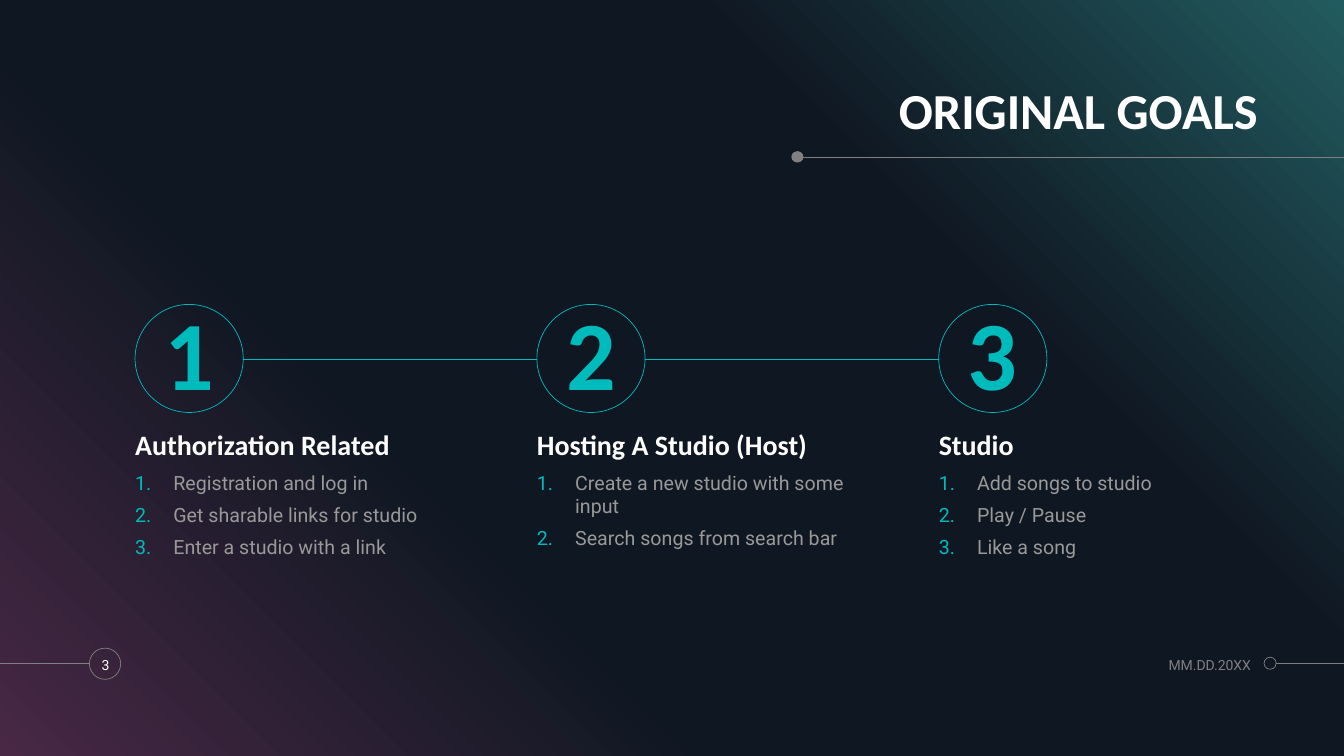
"""Build the goals slide: three numbered steps on a diagonal gradient."""
from dataclasses import dataclass

from lxml.etree import SubElement
from pptx import Presentation
from pptx.dml.color import RGBColor
from pptx.enum.shapes import MSO_CONNECTOR, MSO_SHAPE
from pptx.enum.text import MSO_ANCHOR, PP_ALIGN
from pptx.oxml import parse_xml
from pptx.oxml.ns import nsdecls, qn
from pptx.util import Inches, Pt


@dataclass(frozen=True)
class Theme:
    teal: str = "00BBBB"
    white: str = "FFFFFF"
    gray: str = "808080"
    soft: str = "999999"
    blend: tuple = ((0, "482845"), (34, "0F1722"), (69, "0F1722"), (100, "225B5F"))
    angle: int = 315
    head: str = "Calibri"
    body: str = "Roboto"
    title: int = 36
    digit: int = 70
    topic: int = 20
    item: int = 14
    small: int = 10
    line: float = 0.5


@dataclass(frozen=True)
class Box:
    """A place given in percent of the slide's width and height."""
    left: float
    top: float
    width: float
    height: float


@dataclass(frozen=True)
class Style:
    size: int
    color: str
    face: str
    bold: bool = False
    align: PP_ALIGN = PP_ALIGN.LEFT
    anchor: MSO_ANCHOR = MSO_ANCHOR.MIDDLE
    pitch: float = 1.0
    before: int = 0


@dataclass(frozen=True)
class Step:
    topic: str
    items: tuple


@dataclass(frozen=True)
class Rule:
    start: float
    end: float
    top: float
    color: str


@dataclass(frozen=True)
class Ring:
    box: Box
    color: str
    solid: bool = False


THEME = Theme()
TITLE = Style(THEME.title, THEME.white, THEME.head, True, PP_ALIGN.RIGHT, MSO_ANCHOR.BOTTOM, 0.9)
DIGIT = Style(THEME.digit, THEME.teal, THEME.head, True, PP_ALIGN.CENTER, pitch=0.9)
TOPIC = Style(THEME.topic, THEME.white, THEME.head, True, anchor=MSO_ANCHOR.BOTTOM, pitch=0.9)
ITEM = Style(THEME.item, THEME.soft, THEME.body, anchor=MSO_ANCHOR.TOP, before=6)
PAGE = Style(THEME.small, THEME.white, THEME.body, align=PP_ALIGN.CENTER)
DATE = Style(THEME.small, THEME.gray, THEME.body, align=PP_ALIGN.RIGHT)

STEPS = (
    Step("Authorization Related", (
        "Registration and log in", "Get sharable links for studio", "Enter a studio with a link")),
    Step("Hosting A Studio (Host)", (
        "Create a new studio with some input", "Search songs from search bar")),
    Step("Studio", ("Add songs to studio", "Play / Pause", "Like a song")),
)
FIRST, PITCH, ROUND, WIDE = 10.05, 29.9, 8.05, 24.15
RULES = (
    Rule(100, 59.55, 20.8, THEME.gray),
    Rule(94.95, 100, 87.75, THEME.gray),
    Rule(0, 6.6, 87.75, THEME.gray),
)
RINGS = (
    Ring(Box(58.88, 20, 0.9, 1.5), THEME.gray, True),
    Ring(Box(94.05, 86.93, 0.9, 1.6), THEME.gray),
    Ring(Box(6.65, 85.73, 2.33, 4.13), THEME.gray),
)

deck = Presentation()
deck.slide_width, deck.slide_height = Inches(13.333), Inches(7.5)
slide = deck.slides.add_slide(deck.slide_layouts[6])
shapes = slide.shapes


def wide(share: float) -> int:
    """Turn a percent of the slide's width into a length."""
    return round(deck.slide_width * share / 100)


def high(share: float) -> int:
    """Turn a percent of the slide's height into a length."""
    return round(deck.slide_height * share / 100)


def place(box: Box) -> tuple:
    """Give the four lengths of a box."""
    return wide(box.left), high(box.top), wide(box.width), high(box.height)


def write(shape, lines: tuple, style: Style) -> None:
    """Set the lines of a shape in one style."""
    frame = shape.text_frame
    frame.word_wrap = True
    frame.margin_left = frame.margin_right = frame.margin_top = frame.margin_bottom = 0
    frame.vertical_anchor = style.anchor
    frame.text = "\n".join(lines)
    for para in frame.paragraphs:
        para.alignment, para.line_spacing = style.align, style.pitch
        para.space_before = Pt(style.before)
        font = para.font
        font.size, font.bold, font.name = Pt(style.size), style.bold, style.face
        font.color.rgb = RGBColor.from_string(style.color)


def label(box: Box, lines: tuple, style: Style):
    """Add a text box."""
    shape = shapes.add_textbox(*place(box))
    write(shape, lines, style)
    return shape


def number(shape) -> None:
    """Give every paragraph an automatic teal number."""
    for para in shape.text_frame.paragraphs:
        props = para._p.get_or_add_pPr()
        props.set("marL", str(Inches(0.38)))
        props.set("indent", str(-Inches(0.38)))
        tint = SubElement(props, qn("a:buClr"))
        SubElement(tint, qn("a:srgbClr"), val=THEME.teal)
        SubElement(props, qn("a:buFont"), typeface="+mj-lt")
        SubElement(props, qn("a:buAutoNum"), type="arabicPeriod")
        props.append(props.find(qn("a:defRPr")))


def draw(rule: Rule) -> None:
    """Add a level line."""
    level = high(rule.top)
    line = shapes.add_connector(MSO_CONNECTOR.STRAIGHT, wide(rule.start), level, wide(rule.end), level)
    line.line.width = Pt(THEME.line)
    line.line.color.rgb = RGBColor.from_string(rule.color)
    SubElement(line._element.spPr, qn("a:effectLst"))


def circle(ring: Ring):
    """Add a solid dot or an open ring."""
    shape = shapes.add_shape(MSO_SHAPE.OVAL, *place(ring.box))
    shape.shadow.inherit = False
    tint = RGBColor.from_string(ring.color)
    if ring.solid:
        shape.fill.solid()
        shape.fill.fore_color.rgb = tint
        shape.line.fill.background()
    else:
        shape.fill.background()
        shape.line.color.rgb = tint
        shape.line.width = Pt(THEME.line)
    return shape


def cover() -> None:
    """Fill the slide with the diagonal blend."""
    shape = shapes.add_shape(MSO_SHAPE.RECTANGLE, *place(Box(0, 0, 100, 100)))
    shape.shadow.inherit = False
    shape.line.fill.background()
    stops = "".join(f'<a:gs pos="{pos * 1000}"><a:srgbClr val="{tint}"/></a:gs>' for pos, tint in THEME.blend)
    fill = parse_xml(f'<a:gradFill {nsdecls("a")} rotWithShape="1"><a:gsLst>{stops}</a:gsLst>'
                     f'<a:lin ang="{THEME.angle * 60000}" scaled="0"/></a:gradFill>')
    shape._element.spPr.find(qn("a:prstGeom")).addnext(fill)


def show(rank: int, step: Step) -> None:
    """Add one step with its ring, topic, list and link to the next."""
    left = FIRST + rank * PITCH
    ring = circle(Ring(Box(left, 40.27, ROUND, 14.3), THEME.teal))
    write(ring, (str(rank + 1),), DIGIT)
    label(Box(left, 56.27, WIDE, 4.8), (step.topic,), TOPIC)
    number(label(Box(left, 62.27, WIDE, 20.67), step.items, ITEM))
    if rank + 1 < len(STEPS):
        draw(Rule(left + ROUND, left + PITCH, 47.47, THEME.teal))


cover()
for rule in RULES:
    draw(rule)
for ring in RINGS:
    circle(ring)
label(Box(41.85, 10.27, 51.75, 8.27), ("ORIGINAL GOALS",), TITLE)
for rank, step in enumerate(STEPS):
    show(rank, step)
label(Box(6.38, 85.73, 2.93, 4.4), ("3",), PAGE)
label(Box(82.13, 85.73, 10.95, 4.4), ("MM.DD.20XX",), DATE)
deck.save("out.pptx")
